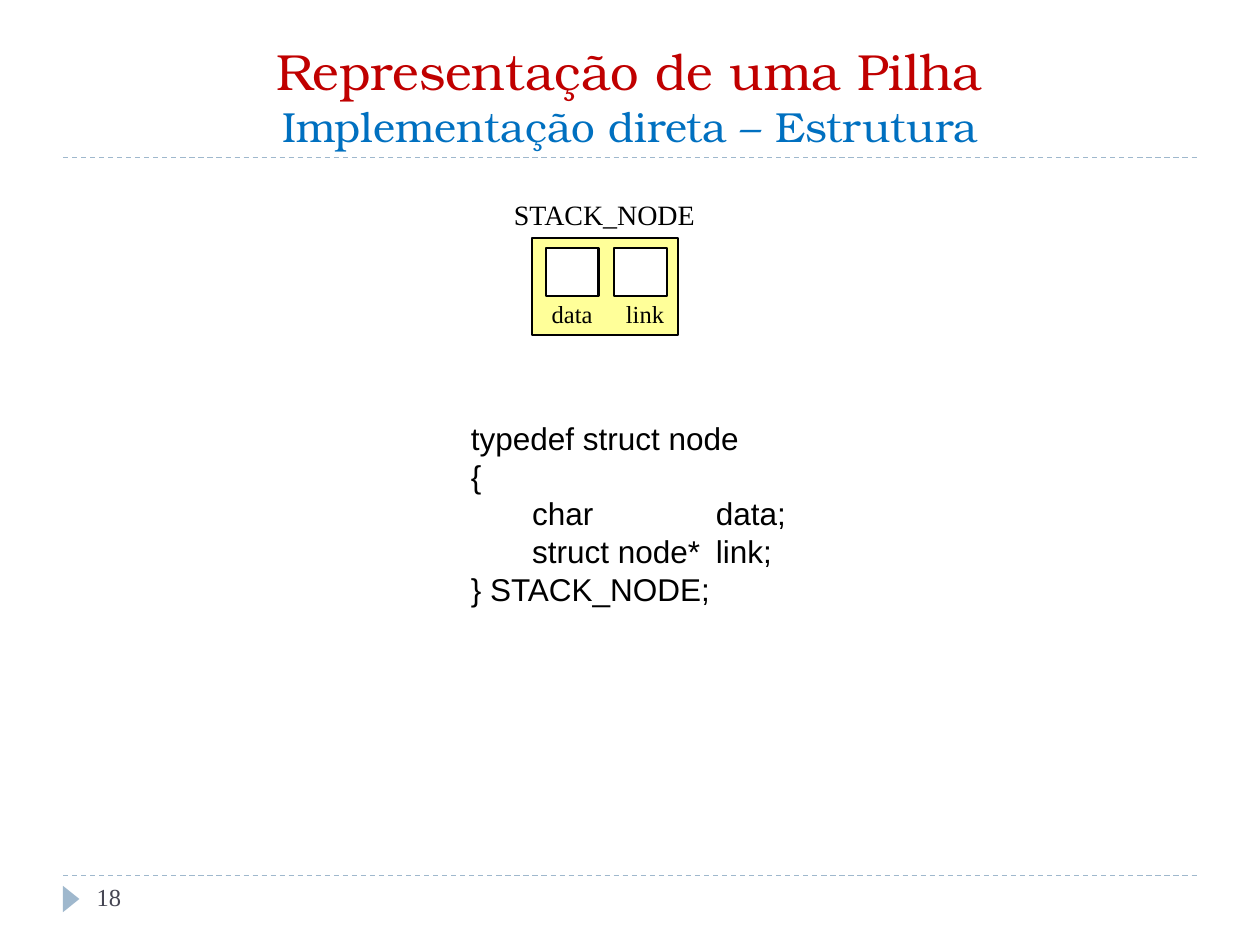
from dataclasses import dataclass
from lxml.etree import SubElement
from pptx import Presentation
from pptx.dml.color import RGBColor
from pptx.enum.dml import MSO_LINE
from pptx.enum.shapes import MSO_CONNECTOR, MSO_SHAPE
from pptx.enum.text import MSO_ANCHOR, MSO_AUTO_SIZE, PP_ALIGN
from pptx.oxml.ns import qn
from pptx.util import Pt


@dataclass(frozen=True)
class Theme:
    red: str = "C00000"
    blue: str = "0070C0"
    rule: str = "9FB8CD"
    slate: str = "464653"
    black: str = "000000"
    white: str = "FFFFFF"
    yellow: str = "FFFF99"
    title: float = 29
    subtitle: float = 24
    code: float = 18
    node: float = 16
    label: float = 14
    heading: str = "TeX Gyre Bonum"
    serif: str = "Times New Roman"
    sans: str = "Arial"


def add_run(p, text, font, size, color):
    r = p.add_run()
    r.text = text
    for name, value in {"name": font, "size": Pt(size), "bold": False}.items():
        setattr(r.font, name, value)
    r.font.color.rgb = RGBColor.from_string(color)


def add_box(shapes, kind, box, fill, line=None):
    sp = shapes.add_shape(kind, *map(Pt, box))
    sp.shadow.inherit = False
    sp.fill.solid()
    sp.fill.fore_color.rgb = RGBColor.from_string(fill)
    if line:
        sp.line.color.rgb = RGBColor.from_string(line)
        sp.line.width = Pt(1.25)
    else:
        sp.line.fill.background()
    return sp


theme = Theme()
prs = Presentation()
prs.slide_width, prs.slide_height = Pt(720), Pt(540)
s = prs.slides.add_slide(prs.slide_layouts[5])

for y in (500.4, 90):
    rule = s.shapes.add_connector(MSO_CONNECTOR.STRAIGHT, Pt(36), Pt(y), Pt(684), Pt(y))
    rule.line.color.rgb = RGBColor.from_string(theme.rule)
    rule.line.width = Pt(0.75)
    rule.line.dash_style = MSO_LINE.DASH
    SubElement(rule._element.spPr, qn("a:effectLst"))

marker = add_box(s.shapes, MSO_SHAPE.ISOSCELES_TRIANGLE, (33.1, 509, 15.1, 9.4), theme.rule)
marker.rotation = 90

title = s.shapes.title
for name, value in {"left": 36, "top": 18, "width": 648, "height": 72}.items():
    setattr(title, name, Pt(value))
tf = title.text_frame
for name, value in {"vertical_anchor": MSO_ANCHOR.BOTTOM, "word_wrap": True,
                    "auto_size": MSO_AUTO_SIZE.NONE}.items():
    setattr(tf, name, value)
p = tf.paragraphs[0]
p.alignment = PP_ALIGN.CENTER
add_run(p, "Representação de uma Pilha", theme.heading, theme.title, theme.red)
p.add_line_break()
add_run(p, "Implementação direta – Estrutura", theme.heading, theme.subtitle, theme.blue)

node = s.shapes.add_group_shape()
add_box(node.shapes, MSO_SHAPE.RECTANGLE, (304, 136.1, 83.5, 55.4), theme.yellow, theme.black)
for x in (311.8, 350.8):
    add_box(node.shapes, MSO_SHAPE.RECTANGLE, (x, 141.8, 30.2, 27.4), theme.white, theme.black)

code = ["typedef struct node", "{", "\tchar\tdata;", "\tstruct node*\tlink;", "} STACK_NODE;"]
texts = [
    (s.shapes, (48.2, 500.4, 156.2, 28.8), ["18"], theme.serif, theme.label, theme.slate),
    (node.shapes, (308.2, 167.2, 38.2, 24.5), ["data"], theme.serif, theme.label, theme.black),
    (node.shapes, (350.6, 167.2, 36.7, 24.5), ["link"], theme.serif, theme.label, theme.black),
    (s.shapes, (286.6, 109.4, 118.8, 26.6), ["STACK_NODE"], theme.serif, theme.node, theme.black),
    (s.shapes, (262, 235.8, 196.6, 116.6), code, theme.sans, theme.code, theme.black),
]
for shapes, box, lines, font, size, color in texts:
    tf = shapes.add_textbox(*map(Pt, box)).text_frame
    tf.word_wrap = len(lines) > 1
    for i, line in enumerate(lines):
        p = tf.add_paragraph() if i else tf.paragraphs[0]
        add_run(p, line, font, size, color)
        if "\t" in line:
            tabs = SubElement(p._p.get_or_add_pPr(), qn("a:tabLst"))
            for stop in (35, 140):
                SubElement(tabs, qn("a:tab"), pos=str(int(Pt(stop))), algn="l")

prs.save("out.pptx")
